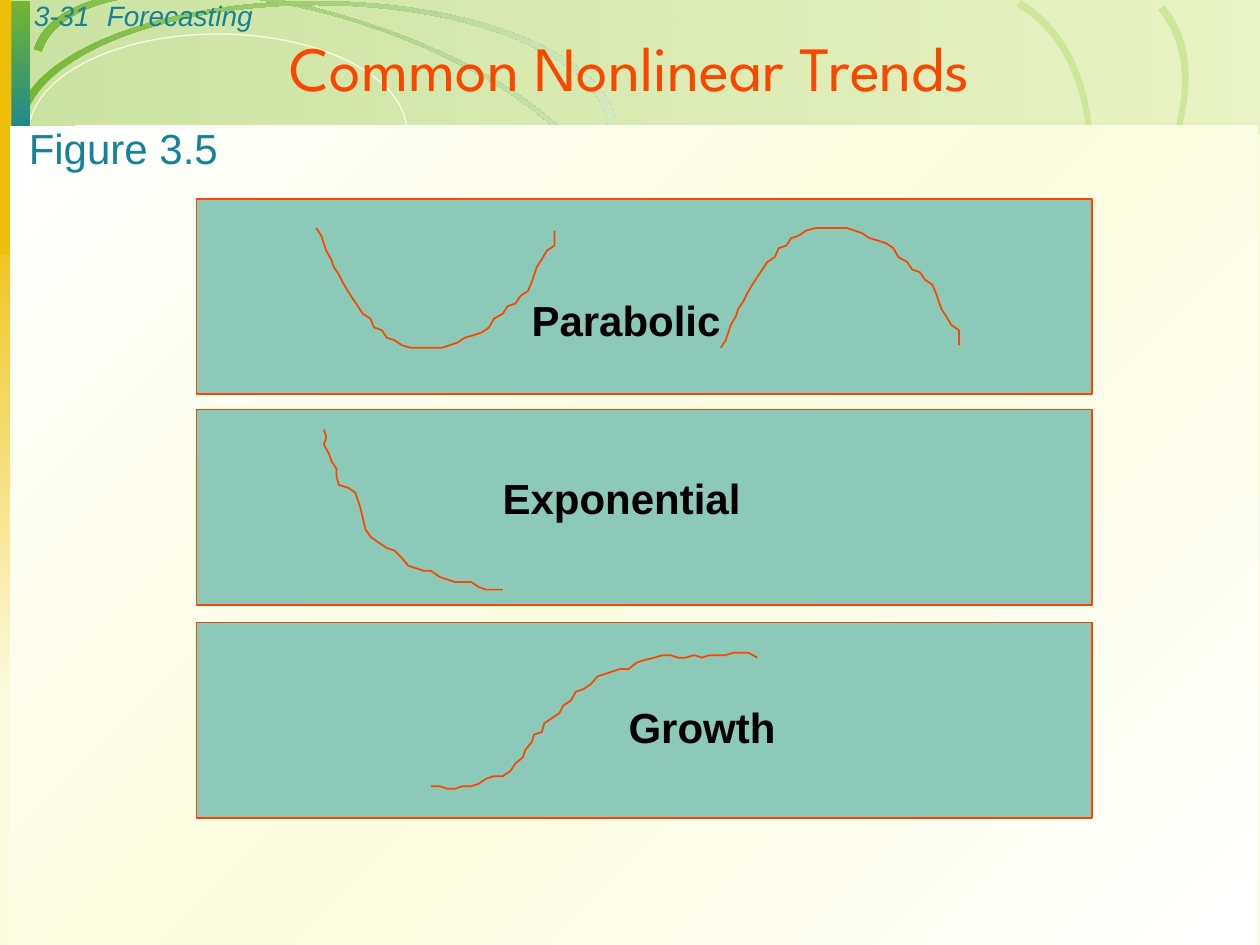
from dataclasses import dataclass

from lxml import etree
from pptx import Presentation
from pptx.dml.color import RGBColor
from pptx.enum.shapes import MSO_SHAPE
from pptx.enum.text import MSO_ANCHOR, MSO_AUTO_SIZE, PP_ALIGN
from pptx.oxml.ns import qn
from pptx.util import Inches, Pt

RECTANGLE = MSO_SHAPE.RECTANGLE
OVAL = MSO_SHAPE.OVAL
BOTTOM = MSO_ANCHOR.BOTTOM
TOP = MSO_ANCHOR.TOP
NO_AUTOFIT = MSO_AUTO_SIZE.NONE
CENTER = PP_ALIGN.CENTER
LEFT = PP_ALIGN.LEFT


@dataclass(frozen=True)
class Theme:
    cream: str = "FBFCDF"
    white: str = "FFFFFF"
    black: str = "000000"
    green: str = "74B632"
    lime: str = "BCDD7B"
    pale_green: str = "D5E9C1"
    arc_green: str = "CDE69A"
    teal: str = "148298"
    gold: str = "EFBE09"
    orange: str = "F84700"
    panel: str = "8DC9B9"
    body_font: str = "Arial"
    title_font: str = "League Spartan"
    title_size: int = 36
    label_size: int = 24
    header_size: int = 16


THEME = Theme()

PANEL_LEFT, PANEL_WIDTH, PANEL_HEIGHT = 1.56, 7.11, 1.55
PANEL_TOPS = (1.58, 3.25, 4.94)

VALLEY = [
    (2.51, 1.81), (2.55, 1.87), (2.57, 1.93), (2.59, 1.99), (2.63, 2.06), (2.65, 2.12),
    (2.69, 2.18), (2.72, 2.24), (2.76, 2.31), (2.8, 2.37), (2.84, 2.43), (2.88, 2.49),
    (2.94, 2.53), (2.97, 2.6), (3.03, 2.62), (3.07, 2.68), (3.13, 2.7), (3.19, 2.74),
    (3.26, 2.76), (3.51, 2.76), (3.57, 2.74), (3.63, 2.72), (3.69, 2.68), (3.76, 2.66),
    (3.82, 2.64), (3.88, 2.6), (3.92, 2.53), (3.99, 2.49), (4.03, 2.43), (4.09, 2.41),
    (4.13, 2.35), (4.19, 2.31), (4.22, 2.24), (4.24, 2.18), (4.26, 2.12), (4.3, 2.06),
    (4.34, 1.99), (4.4, 1.95), (4.4, 1.83),
]
HILL_SHIFT, FLIP_SUM = 3.21, 4.57
HILL = [(x + HILL_SHIFT, FLIP_SUM - y) for x, y in VALLEY]
DECAY = [
    (2.57, 3.41), (2.59, 3.47), (2.57, 3.53), (2.61, 3.6), (2.63, 3.66), (2.67, 3.72),
    (2.67, 3.78), (2.69, 3.85), (2.76, 3.87), (2.82, 3.91), (2.84, 3.97), (2.86, 4.03),
    (2.9, 4.2), (2.94, 4.26), (3.01, 4.31), (3.07, 4.35), (3.13, 4.37), (3.19, 4.43),
    (3.24, 4.49), (3.3, 4.51), (3.36, 4.53), (3.42, 4.53), (3.49, 4.58), (3.55, 4.6),
    (3.61, 4.62), (3.74, 4.62), (3.8, 4.66), (3.86, 4.68), (3.99, 4.68),
]
GROWTH = [
    (3.42, 6.24), (3.49, 6.24), (3.55, 6.26), (3.61, 6.26), (3.67, 6.24), (3.74, 6.24),
    (3.8, 6.22), (3.86, 6.18), (3.92, 6.16), (3.99, 6.16), (4.05, 6.12), (4.09, 6.06),
    (4.15, 6.01), (4.17, 5.95), (4.22, 5.89), (4.24, 5.83), (4.3, 5.81), (4.32, 5.74),
    (4.38, 5.7), (4.44, 5.66), (4.47, 5.6), (4.53, 5.56), (4.57, 5.49), (4.63, 5.47),
    (4.69, 5.43), (4.74, 5.37), (4.8, 5.35), (4.86, 5.33), (4.92, 5.31), (4.99, 5.31),
    (5.05, 5.26), (5.11, 5.24), (5.19, 5.22), (5.26, 5.2), (5.32, 5.2), (5.38, 5.22),
    (5.44, 5.22), (5.51, 5.2), (5.57, 5.22), (5.63, 5.2), (5.76, 5.2), (5.82, 5.18),
    (5.94, 5.18), (6.01, 5.22),
]

TILTED_ARC = (
    [(0.33, 0.41), (0.49, -0.1), (1.61, -0.2), (2.84, 0.18), (4.06, 0.57), (4.92, 1.29), (4.76, 1.8)],
    [(4.82, 1.82), (4.99, 1.3), (4.1, 0.55), (2.84, 0.16), (1.59, -0.24), (0.43, -0.14), (0.27, 0.39)],
)
FAR_RIGHT_ARC = (
    [(5.73, 3.18), (6.19, 3.7), (7.34, 3.42), (8.3, 2.57), (9.25, 1.72), (9.65, 0.6), (9.19, 0.08)],
    [(9.24, 0.04), (9.71, 0.57), (9.3, 1.72), (8.32, 2.6), (7.34, 3.47), (6.16, 3.75), (5.68, 3.22)],
)
RIGHT_ARC = (
    [(5.7, 4.04), (6.41, 4.46), (7.51, 3.91), (8.17, 2.81), (8.82, 1.71), (8.78, 0.47), (8.07, 0.05)],
    [(8.1, 0), (8.83, 0.43), (8.87, 1.7), (8.2, 2.83), (7.53, 3.96), (6.39, 4.53), (5.67, 4.1)],
)
LEVEL_ARC = (
    [(0.19, 1.04), (0.19, 0.49), (1.23, 0.04), (2.51, 0.04), (3.79, 0.04), (4.83, 0.49), (4.83, 1.04)],
    [(4.89, 1.04), (4.89, 0.47), (3.83, 0.01), (2.51, 0.01), (1.19, 0.01), (0.12, 0.47), (0.12, 1.04)],
)


def paint_gradient(shape, stops, angle):
    shape.fill.gradient()
    shape.fill.gradient_angle = -angle % 360
    stop_list = shape.element.spPr.find(qn("a:gradFill")).find(qn("a:gsLst"))
    for stop in list(stop_list):
        stop_list.remove(stop)
    for position, color, opacity in stops:
        stop = etree.SubElement(stop_list, qn("a:gs"), pos=str(position * 1000))
        tint = etree.SubElement(stop, qn("a:srgbClr"), val=color)
        if opacity < 100:
            etree.SubElement(tint, qn("a:alpha"), val=str(opacity * 1000))


def style_shape(shape, fill=None, stops=None, angle=0, line=None, width=1):
    shape.shadow.inherit = False
    if stops:
        paint_gradient(shape, stops, angle)
    elif fill:
        shape.fill.solid()
        shape.fill.fore_color.rgb = RGBColor.from_string(fill)
    else:
        shape.fill.background()
    if line:
        shape.line.color.rgb = RGBColor.from_string(line)
        shape.line.width = Pt(width)
    else:
        shape.line.fill.background()


def add_preset(page, kind, bounds, **style):
    style_shape(page.shapes.add_shape(kind, *map(Inches, bounds)), **style)


def add_outline(page, points, close=False, **style):
    corners = [(Inches(x), Inches(y)) for x, y in points]
    builder = page.shapes.build_freeform(*corners[0])
    builder.add_line_segments(corners[1:], close=close)
    style_shape(builder.convert_to_shape(), **style)


def sample_curve(controls, steps=24):
    points = [controls[0]]
    for first in range(0, len(controls) - 1, 3):
        segment = controls[first:first + 4]
        for step in range(1, steps + 1):
            t = step / steps
            weights = ((1 - t) ** 3, 3 * t * (1 - t) ** 2, 3 * t ** 2 * (1 - t), t ** 3)
            points.append(tuple(sum(w * p[axis] for w, p in zip(weights, segment)) for axis in (0, 1)))
    return points


def add_arc(page, arc, **style):
    edges = [point for edge in arc for point in sample_curve(edge)]
    add_outline(page, edges, close=True, **style)


def write_text(box, text, size, color, font=THEME.body_font, bold=False, italic=False, align=LEFT):
    para = box.text_frame.paragraphs[0]
    para.alignment = align
    span = para.add_run()
    span.text = text
    span.font.name, span.font.size = font, Pt(size)
    span.font.bold, span.font.italic = bold, italic
    span.font.color.rgb = RGBColor.from_string(color)


def add_label(page, bounds, text, size, color, wrap=True, **style):
    box = page.shapes.add_textbox(*map(Inches, bounds))
    box.text_frame.word_wrap = wrap
    box.text_frame.vertical_anchor = TOP
    write_text(box, text, size, color, **style)


def add_backdrop(page):
    t = THEME
    page.background.fill.solid()
    page.background.fill.fore_color.rgb = RGBColor.from_string(t.cream)
    arc_stops = [(0, t.green, 100), (100, t.pale_green, 100)]
    add_preset(page, RECTANGLE, (0.01, 0, 10, 1.06), stops=[(0, t.green, 36), (100, t.lime, 29)])
    add_arc(page, TILTED_ARC, stops=arc_stops, angle=342)
    add_preset(page, OVAL, (0.23, 0.27, 3, 1.56), line=t.cream, width=0.75)
    add_preset(page, RECTANGLE, (0, 1.55, 0.22, 4.01),
               stops=[(0, t.gold, 100), (100, t.cream, 100)], angle=90)
    for arc in (FAR_RIGHT_ARC, RIGHT_ARC):
        add_arc(page, arc, fill=t.arc_green)
    add_arc(page, LEVEL_ARC, stops=arc_stops)
    add_preset(page, RECTANGLE, (0.01, 0.01, 0.23, 1.14),
               stops=[(0, t.green, 100), (100, t.teal, 100)], angle=90)
    add_preset(page, RECTANGLE, (0, 0, 0.09, 2.02), fill=t.gold)
    add_preset(page, RECTANGLE, (0.08, 1, 9.9, 6.5),
               stops=[(0, t.white, 100), (50, t.cream, 100), (100, t.white, 100)], angle=45)


def place_title(page, text):
    title = page.shapes.title
    title.left, title.top, title.width, title.height = map(Inches, (0, 0.27, 10, 0.61))
    title.text_frame.vertical_anchor = BOTTOM
    title.text_frame.auto_size = NO_AUTOFIT
    write_text(title, text, THEME.title_size, THEME.orange, font=THEME.title_font, align=CENTER)
    title.element.getparent().append(title.element)


def main():
    deck = Presentation()
    deck.slide_width, deck.slide_height = Inches(10), Inches(7.5)
    page = deck.slides.add_slide(deck.slide_layouts[5])
    add_backdrop(page)
    for bounds, text in (((0.17, -0.06, 0.92, 0.37), "3-31"), ((0.75, -0.06, 8.67, 0.37), "Forecasting")):
        add_label(page, bounds, text, THEME.header_size, THEME.teal, italic=True)
    place_title(page, "Common Nonlinear Trends")
    for top in PANEL_TOPS:
        add_preset(page, RECTANGLE, (PANEL_LEFT, top, PANEL_WIDTH, PANEL_HEIGHT),
                   fill=THEME.panel, line=THEME.orange)
    for curve in (VALLEY, HILL, DECAY, GROWTH):
        add_outline(page, curve, line=THEME.orange)
    for bounds, text in (((4.12, 2.29, 1.75, 0.5), "Parabolic"),
                         ((3.89, 3.7, 2.15, 0.5), "Exponential"),
                         ((4.89, 5.52, 1.45, 0.5), "Growth")):
        add_label(page, bounds, text, THEME.label_size, THEME.black, wrap=False, bold=True)
    add_label(page, (0.13, 0.92, 1.92, 0.5), "Figure 3.5", THEME.label_size, THEME.teal)
    deck.save("out.pptx")


if __name__ == "__main__":
    main()
